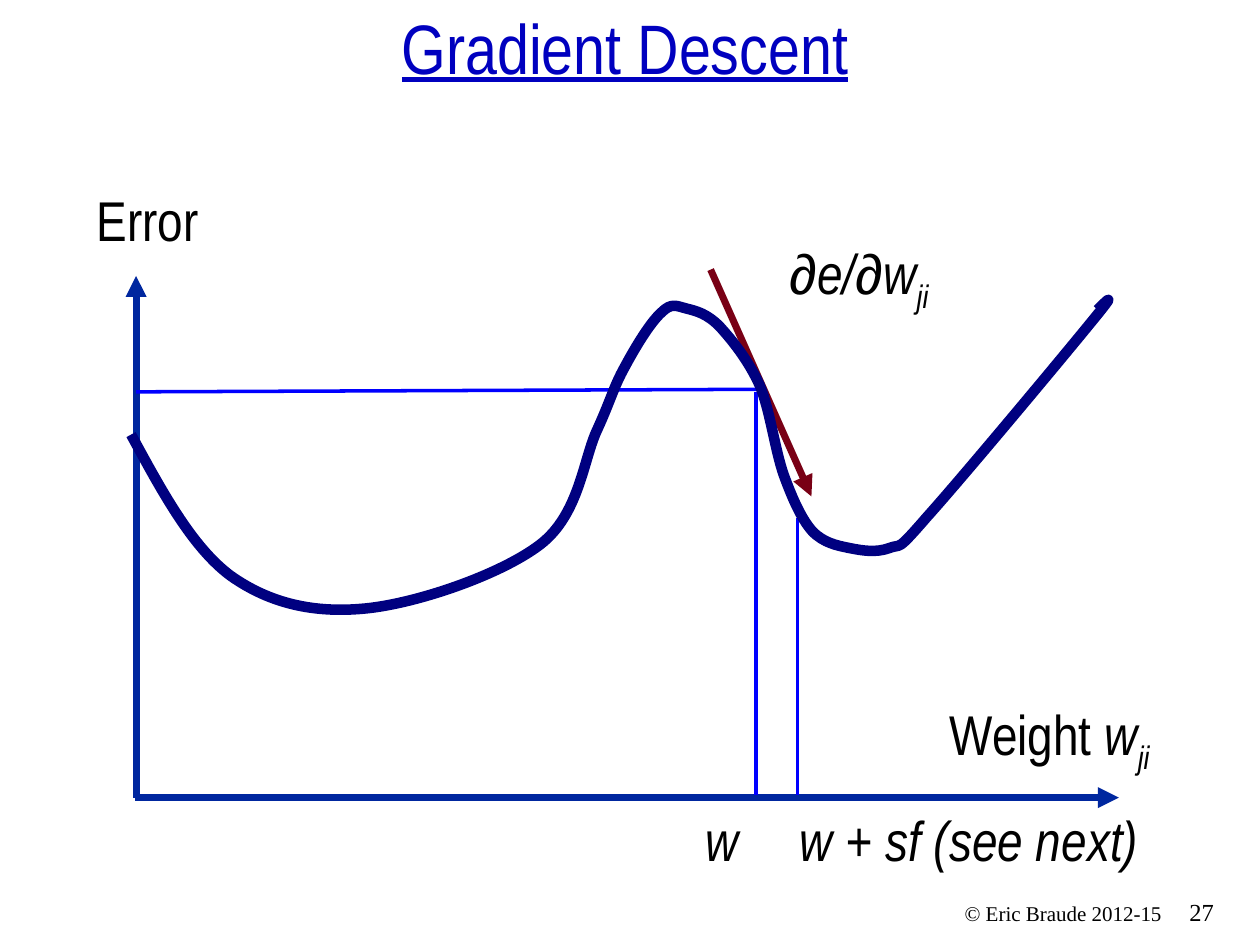
from dataclasses import dataclass

from lxml.etree import SubElement
from pptx import Presentation
from pptx.dml.color import RGBColor
from pptx.enum.shapes import MSO_CONNECTOR
from pptx.enum.text import MSO_ANCHOR, PP_ALIGN
from pptx.oxml.ns import qn
from pptx.util import Inches, Pt


@dataclass(frozen=True)
class Theme:
    title_color: str = "0000BF"
    text_color: str = "000000"
    axis_color: str = "00279F"
    guide_color: str = "0000FF"
    tangent_color: str = "790015"
    curve_color: str = "000080"
    body_font: str = "Arial Narrow"
    footer_font: str = "Times New Roman"
    title_size: int = 40
    label_size: int = 32
    number_size: int = 14
    footer_size: int = 12
    axis_width: int = 4
    guide_width: int = 2
    curve_width: int = 6


THEME = Theme()
LABEL = {"name": THEME.body_font, "size": Pt(THEME.label_size)}
ITALIC = {"italic": True}
SUBSCRIPT = {"italic": True, "baseline": -25}

# Error curve: a start point, then two control points and an end point per arc
CURVE_BOUNDS = (1.04, 2.38, 7.75, 2.46)
CURVE_START = (1.04, 3.45)
CURVE_ARCS = [
    ((1.28, 3.89), (1.52, 4.34), (1.83, 4.57)),
    ((2.14, 4.79), (2.49, 4.87), (2.90, 4.83)),
    ((3.31, 4.79), (3.98, 4.56), (4.29, 4.32)),
    ((4.60, 4.08), (4.63, 3.64), (4.74, 3.41)),
    ((4.85, 3.17), (4.87, 3.07), (4.96, 2.91)),
    ((5.04, 2.76), (5.16, 2.56), (5.25, 2.48)),
    ((5.33, 2.40), (5.37, 2.43), (5.45, 2.45)),
    ((5.53, 2.47), (5.61, 2.49), (5.71, 2.59)),
    ((5.81, 2.70), (5.94, 2.86), (6.03, 3.06)),
    ((6.11, 3.25), (6.15, 3.57), (6.22, 3.77)),
    ((6.29, 3.96), (6.36, 4.12), (6.45, 4.22)),
    ((6.54, 4.31), (6.64, 4.33), (6.74, 4.35)),
    ((6.84, 4.37), (6.95, 4.39), (7.06, 4.35)),
    ((7.16, 4.31), (7.10, 4.40), (7.36, 4.10)),
    ((7.63, 3.80), (8.43, 2.84), (8.65, 2.57)),
    ((8.88, 2.29), (8.79, 2.38), (8.71, 2.46)),
]


def add_text(page, bounds, spans, base=LABEL, color=THEME.text_color,
             align=PP_ALIGN.LEFT, anchor=MSO_ANCHOR.TOP):
    """Add one paragraph made of (text, format) spans."""
    box = page.shapes.add_textbox(*map(Inches, bounds))
    frame = box.text_frame
    frame.word_wrap = True
    frame.vertical_anchor = anchor
    para = frame.paragraphs[0]
    para.alignment = align
    for text, extra in spans:
        span = para.add_run()
        span.text = text
        span.font.color.rgb = RGBColor.from_string(color)
        for name, value in {**base, **extra}.items():
            if name == "baseline":
                span._r.get_or_add_rPr().set(name, str(value * 1000))
            else:
                setattr(span.font, name, value)


def style_line(line, color, width):
    line.color.rgb = RGBColor.from_string(color)
    line.width = Pt(width)


def add_line(page, start, end, color, width, arrow=None):
    """Add a straight line; arrow is None, "headEnd" (start) or "tailEnd" (end)."""
    connector = page.shapes.add_connector(
        MSO_CONNECTOR.STRAIGHT, *map(Inches, start + end))
    style_line(connector.line, color, width)
    if arrow:
        SubElement(connector.line._get_or_add_ln(), qn(f"a:{arrow}"), type="triangle")
    SubElement(connector._element.spPr, qn("a:effectLst"))


def add_curve(page, bounds, start, arcs, color, width):
    """Add an open freeform through the arc ends, then bend each segment."""
    builder = page.shapes.build_freeform(*map(Inches, start))
    builder.add_line_segments([tuple(map(Inches, arc[-1])) for arc in arcs], close=False)
    curve = builder.convert_to_shape()
    curve.left, curve.top, curve.width, curve.height = map(Inches, bounds)

    outline = next(curve._element.iter(qn("a:path")))
    outline.set("w", str(curve.width))
    outline.set("h", str(curve.height))
    for segment in list(outline)[1:]:
        outline.remove(segment)

    def add_point(parent, point):
        SubElement(parent, qn("a:pt"), x=str(Inches(point[0]) - curve.left),
                   y=str(Inches(point[1]) - curve.top))

    move = outline[0]
    move.remove(move[0])
    add_point(move, start)
    for arc in arcs:
        bend = SubElement(outline, qn("a:cubicBezTo"))
        for point in arc:
            add_point(bend, point)

    curve.shadow.inherit = False
    curve.fill.background()
    style_line(curve.line, color, width)
    SubElement(curve.line._get_or_add_ln(), qn("a:round"))


def main():
    deck = Presentation()
    deck.slide_width, deck.slide_height = Inches(10), Inches(7.5)
    page = deck.slides.add_slide(deck.slide_layouts[6])

    # Footer
    footer = {"name": THEME.footer_font, "size": Pt(THEME.footer_size)}
    add_text(page, (9.34, 7.07, 0.58, 0.33),
             [("27", {"size": Pt(THEME.number_size)})], footer)
    add_text(page, (6.65, 7.1, 2.67, 0.3),
             [("© Eric Braude 2012-15", {})], footer, align=PP_ALIGN.RIGHT)

    # Title
    add_text(page, (0, 0.21, 9.92, 0.54),
             [("Gradient Descent", {"size": Pt(THEME.title_size), "underline": True})],
             color=THEME.title_color, align=PP_ALIGN.CENTER, anchor=MSO_ANCHOR.BOTTOM)

    # Axes
    axis = (THEME.axis_color, THEME.axis_width)
    add_line(page, (1.07, 6.33), (8.88, 6.33), *axis, arrow="tailEnd")
    add_line(page, (1.08, 2.19), (1.08, 6.33), *axis, arrow="headEnd")

    # Guides and tangent
    for start, end in (((6, 3.11), (6, 6.31)),
                       ((6.01, 3.09), (1.08, 3.11)),
                       ((6.33, 4.11), (6.33, 6.31))):
        add_line(page, start, end, THEME.guide_color, THEME.guide_width)
    add_line(page, (5.64, 2.14), (6.44, 3.94),
             THEME.tangent_color, THEME.axis_width, arrow="tailEnd")

    # Labels
    add_text(page, (0.67, 1.42, 1.08, 0.64), [("Error", {})])
    add_text(page, (7.25, 5.5, 2.16, 0.64),
             [("Weight ", {}), ("w", ITALIC), ("ji", SUBSCRIPT)], align=PP_ALIGN.CENTER)
    add_text(page, (6.17, 1.84, 2, 0.64), [("∂e/∂w", ITALIC), ("ji", SUBSCRIPT)])
    add_text(page, (5.5, 6.34, 0.58, 0.64), [("w", ITALIC)])
    add_text(page, (6.25, 6.34, 3.41, 0.64), [("w + sf (see next)", ITALIC)])

    # Error curve
    add_curve(page, CURVE_BOUNDS, CURVE_START, CURVE_ARCS,
              THEME.curve_color, THEME.curve_width)

    deck.save("out.pptx")


if __name__ == "__main__":
    main()
